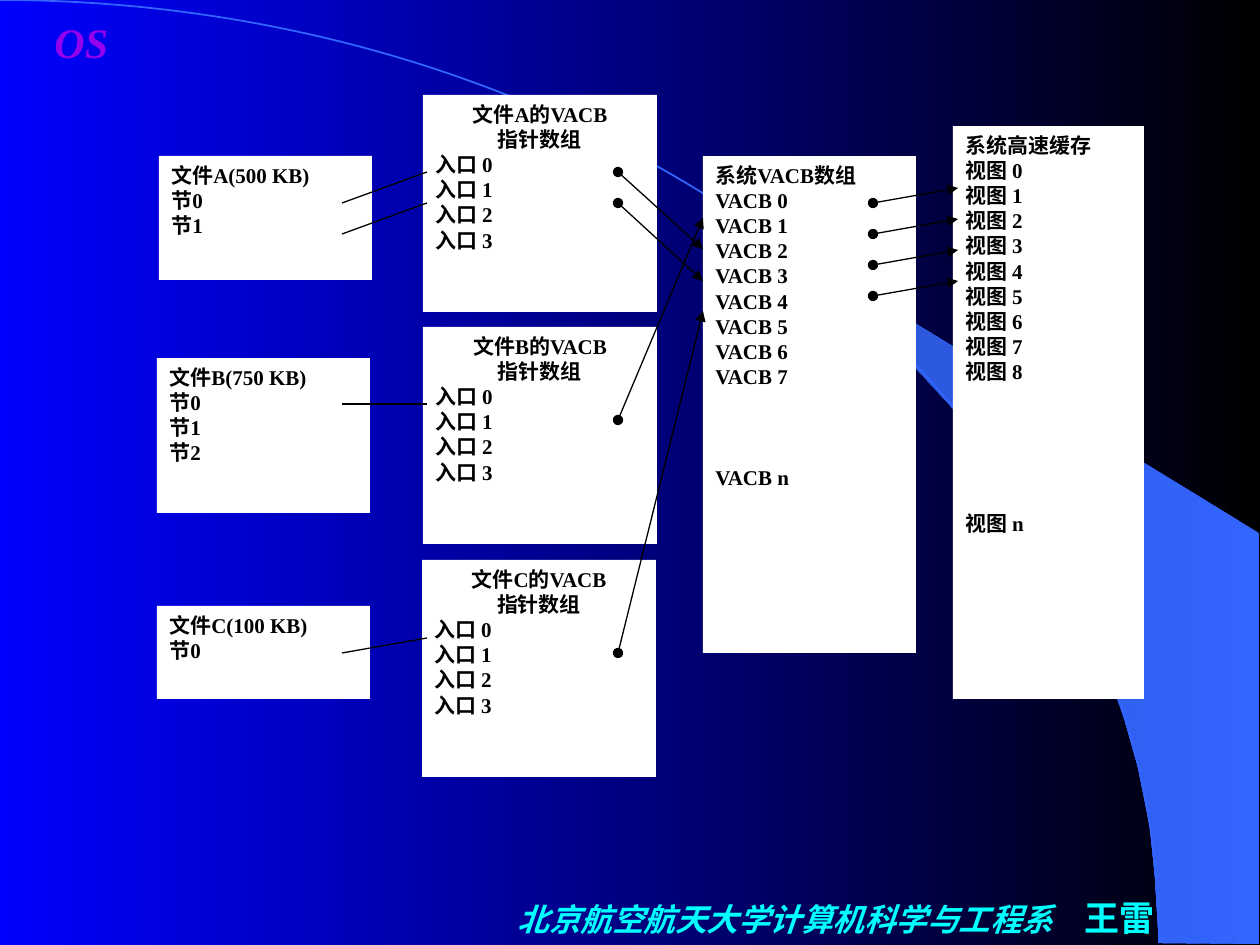
from typing import NamedTuple

from lxml.etree import SubElement
from pptx import Presentation
from pptx.dml.color import RGBColor
from pptx.dml.fill import FillFormat
from pptx.enum.shapes import MSO_CONNECTOR, MSO_SHAPE
from pptx.enum.text import MSO_ANCHOR, PP_ALIGN
from pptx.oxml.ns import qn
from pptx.slide import Slide
from pptx.text.text import Font
from pptx.util import Emu, Pt

SCALE = 914400 / 126
FONT_NAME = "Times New Roman"
BLACK = RGBColor(0x00, 0x00, 0x00)
WHITE = RGBColor(0xFF, 0xFF, 0xFF)
BLUE = RGBColor(0x00, 0x00, 0xFF)
PURPLE = RGBColor(0x94, 0x00, 0xED)
CYAN = RGBColor(0x00, 0xFF, 0xFF)
SWEEP_BLUE = RGBColor(0x33, 0x66, 0xFF)
SWEEP_SHADE = RGBColor(0x28, 0x51, 0xCB)
LINE_PITCH = 14.4
SWEEP_POINTS = [
    (1159, 943), (1259, 944), (1259, 533), (742, 218), (786, 251), (823, 280),
    (863, 315), (902, 353), (960, 416), (1012, 484), (1048, 543), (1081, 604),
    (1106, 665), (1125, 721), (1138, 767), (1150, 827), (1155, 877),
]


class Panel(NamedTuple):
    left: int
    top: int
    width: int
    height: int
    headings: list[str]
    entries: list[str]
    heading_alignment: PP_ALIGN = PP_ALIGN.JUSTIFY
    skipped_lines: int = 0


class Link(NamedTuple):
    start_x: int
    start_y: int
    end_x: int
    end_y: int
    is_pointer: bool = True


def numbered(word: str, count: int, gap: str = " ") -> list[str]:
    """Return the word followed by each number from zero."""
    return [f"{word}{gap}{number}" for number in range(count)]


PANELS = [
    Panel(159, 156, 213, 124, ["文件A(500 KB)"], numbered("节", 2, "")),
    Panel(157, 358, 213, 155, ["文件B(750 KB)"], numbered("节", 3, "")),
    Panel(157, 606, 213, 93, ["文件C(100 KB)"], numbered("节", 1, "")),
    *[
        Panel(left, top, 234, 217, [f"文件{name}的VACB", "指针数组"],
              numbered("入口", 4), PP_ALIGN.CENTER)
        for name, left, top in [("A", 423, 95), ("B", 423, 327), ("C", 422, 560)]
    ],
    Panel(703, 156, 213, 497, ["系统VACB数组"],
          numbered("VACB", 8) + ["VACB n"], skipped_lines=3),
    Panel(953, 126, 191, 573, ["系统高速缓存"],
          numbered("视图", 9) + ["视图 n"], skipped_lines=5),
]
LINKS = [
    *[Link(342, start_y, 427, end_y, False)
      for start_y, end_y in [(203, 172), (234, 203), (404, 404), (653, 638)]],
    *[Link(618, start_y, 703, end_y)
      for start_y, end_y in [(420, 218), (172, 249), (203, 281), (653, 311)]],
    *[Link(873, 203 + 31 * row, 958, 188 + 31 * row) for row in range(4)],
]


def px(length: int) -> Emu:
    """Turn pixels into EMU."""
    return Emu(round(length * SCALE))


def set_gradient(fill: FillFormat, first: RGBColor, last: RGBColor) -> None:
    """Fill with a two-colour gradient running from right to left."""
    fill.gradient()
    fill.gradient_angle = 180
    for stop, color in zip(fill.gradient_stops, (first, last)):
        stop.color.rgb = color


def set_font(font: Font, size: int, color: RGBColor, italic: bool = False) -> None:
    """Apply the bold text style."""
    font.name = FONT_NAME
    font.size = Pt(size)
    font.bold = True
    font.italic = italic
    font.color.rgb = color


def draw_backdrop(slide: Slide) -> None:
    """Draw the gradient background, the blue sweep and its arc."""
    set_gradient(slide.background.fill, BLACK, BLUE)
    builder = slide.shapes.build_freeform(*SWEEP_POINTS[0], scale=SCALE)
    builder.add_line_segments(SWEEP_POINTS[1:], close=True)
    sweep = builder.convert_to_shape()
    sweep.shadow.inherit = False
    set_gradient(sweep.fill, SWEEP_BLUE, SWEEP_SHADE)
    sweep.line.fill.background()
    arc = slide.shapes.add_shape(MSO_SHAPE.ARC, px(-1159), px(0), px(2318), px(1886))
    arc.shadow.inherit = False
    arc.fill.background()
    arc.line.color.rgb = SWEEP_BLUE
    arc.line.width = Pt(1)


def draw_footer(slide: Slide) -> None:
    """Write the department and the lecturer."""
    box = slide.shapes.add_textbox(px(488), px(886), px(697), px(63))
    box.text_frame.word_wrap = True
    box.text_frame.vertical_anchor = MSO_ANCHOR.MIDDLE
    para = box.text_frame.paragraphs[0]
    para.alignment = PP_ALIGN.CENTER
    for text, size, italic in [("北京航空航天大学计算机科学与工程系　", 18, True),
                               ("王雷", 20, False)]:
        span = para.add_run()
        span.text = text
        set_font(span.font, size, CYAN, italic)


def draw_course_mark(slide: Slide) -> None:
    """Write the course initials in the corner."""
    box = slide.shapes.add_textbox(px(42), px(10), px(105), px(53))
    box.text_frame.word_wrap = False
    para = box.text_frame.paragraphs[0]
    para.text = "OS"
    font = para.runs[0].font
    set_font(font, 24, PURPLE, italic=True)
    set_gradient(font.fill, PURPLE, BLUE)


def draw_panel(slide: Slide, panel: Panel) -> None:
    """Draw a white panel with headings above its entries."""
    box = slide.shapes.add_shape(MSO_SHAPE.RECTANGLE, px(panel.left), px(panel.top),
                                 px(panel.width), px(panel.height))
    box.shadow.inherit = False
    box.fill.solid()
    box.fill.fore_color.rgb = WHITE
    box.line.fill.background()
    frame = box.text_frame
    frame.word_wrap = True
    frame.vertical_anchor = MSO_ANCHOR.TOP
    frame.text = "\n".join(panel.headings + panel.entries)
    for index, para in enumerate(frame.paragraphs):
        is_heading = index < len(panel.headings)
        para.alignment = panel.heading_alignment if is_heading else PP_ALIGN.LEFT
        para.line_spacing = Pt(LINE_PITCH)
        set_font(para.runs[0].font, 12, BLACK)
    if panel.skipped_lines:
        frame.paragraphs[-1].space_before = Pt(panel.skipped_lines * LINE_PITCH)


def draw_link(slide: Slide, link: Link) -> None:
    """Draw a plain line or a pointer from a dot to an arrowhead."""
    line = slide.shapes.add_connector(MSO_CONNECTOR.STRAIGHT, px(link.start_x),
                                      px(link.start_y), px(link.end_x), px(link.end_y))
    line.line.color.rgb = BLACK
    line.line.width = Pt(0.75)
    if link.is_pointer:
        outline = line.line._get_or_add_ln()
        SubElement(outline, qn("a:headEnd"), type="oval")
        SubElement(outline, qn("a:tailEnd"), type="triangle")
    SubElement(line._element.spPr, qn("a:effectLst"))


def main() -> None:
    """Build the slide on file caching and save it."""
    deck = Presentation()
    deck.slide_width = px(1260)
    deck.slide_height = px(945)
    page = deck.slides.add_slide(deck.slide_layouts[6])
    draw_backdrop(page)
    draw_footer(page)
    draw_course_mark(page)
    for panel in PANELS:
        draw_panel(page, panel)
    for link in LINKS:
        draw_link(page, link)
    deck.save("out.pptx")


if __name__ == "__main__":
    main()
